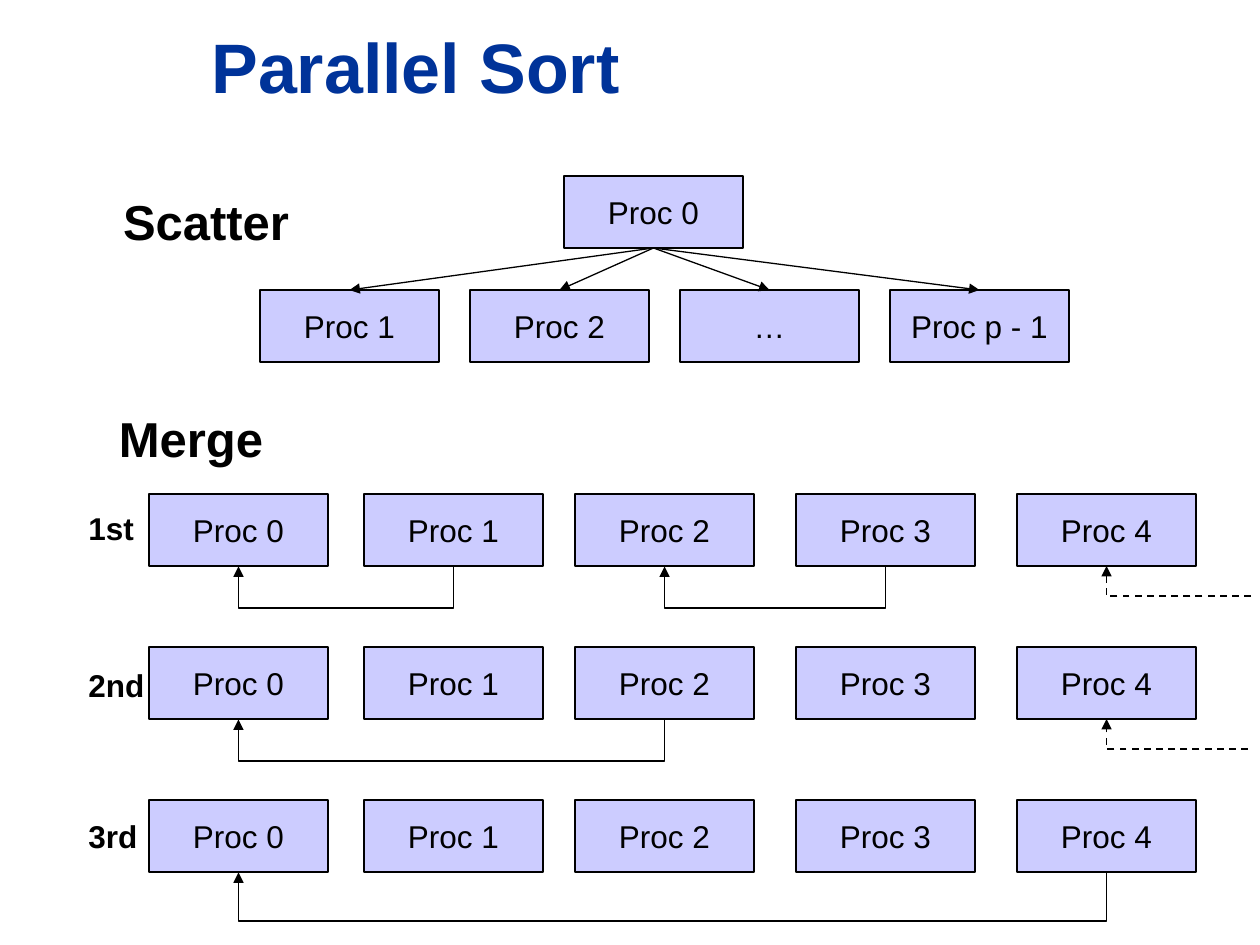
from dataclasses import dataclass

from lxml.etree import SubElement
from pptx import Presentation
from pptx.dml.color import RGBColor
from pptx.enum.dml import MSO_LINE
from pptx.enum.shapes import MSO_CONNECTOR, MSO_SHAPE
from pptx.enum.text import MSO_ANCHOR, PP_ALIGN
from pptx.oxml.ns import qn
from pptx.util import Pt

EMU_PER_PIXEL = 914400 / 126
BLACK, LAVENDER, NAVY = "000000", "CCCCFF", "003399"
BOX_WIDTH, BOX_HEIGHT = 179, 72
COLUMNS = (149, 364, 575, 796, 1017)
FIRST_ROW_TOP, ROW_STEP = 494, 153
DASHED_DROP = 30


@dataclass
class Label:
    text: str
    left: int
    top: int
    width: int
    height: int
    size: int
    color: str = BLACK
    align: PP_ALIGN = PP_ALIGN.LEFT
    anchor: MSO_ANCHOR = MSO_ANCHOR.TOP
    wrap: bool = True


@dataclass
class MergeStep:
    label: Label
    merges: tuple
    drop: int
    dashed_start: int = 0


LABELS = (
    Label("Parallel Sort", 199, 9, 1041, 113, 40, NAVY, anchor=MSO_ANCHOR.MIDDLE),
    Label("Scatter", 101, 185, 210, 72, 28, align=PP_ALIGN.CENTER),
    Label("Merge", 86, 402, 210, 72, 28, align=PP_ALIGN.CENTER),
)
MERGE_STEPS = (
    MergeStep(Label("1st", 76, 503, 71, 50, 18, wrap=False), ((1, 0), (3, 2)), 43, 1251),
    MergeStep(Label("2nd", 76, 660, 81, 50, 18, wrap=False), ((2, 0),), 43, 1248),
    MergeStep(Label("3rd", 76, 811, 74, 50, 18, wrap=False), ((4, 0),), 50),
)


def px(pixels: float) -> int:
    return round(pixels * EMU_PER_PIXEL)


def rgb(color: str) -> RGBColor:
    return RGBColor.from_string(color)


def write_text(shape, text: str, size: int, color: str, bold: bool, align) -> None:
    paragraph = shape.text_frame.paragraphs[0]
    paragraph.text = text
    paragraph.alignment = align
    font = paragraph.runs[0].font
    font.name, font.size, font.bold = "Arial", Pt(size), bold
    font.color.rgb = rgb(color)


def add_label(slide, label: Label) -> None:
    shape = slide.shapes.add_textbox(
        px(label.left), px(label.top), px(label.width), px(label.height)
    )
    shape.text_frame.word_wrap = label.wrap
    shape.text_frame.vertical_anchor = label.anchor
    write_text(shape, label.text, label.size, label.color, True, label.align)


def add_process(slide, text: str, left: int, top: int):
    shape = slide.shapes.add_shape(
        MSO_SHAPE.RECTANGLE, px(left), px(top), px(BOX_WIDTH), px(BOX_HEIGHT)
    )
    shape.shadow.inherit = False
    shape.fill.solid()
    shape.fill.fore_color.rgb = rgb(LAVENDER)
    shape.line.color.rgb = rgb(BLACK)
    shape.line.width = Pt(0.75)
    shape.text_frame.word_wrap = False
    shape.text_frame.vertical_anchor = MSO_ANCHOR.MIDDLE
    write_text(shape, text, 18, BLACK, False, PP_ALIGN.CENTER)
    return shape


def add_arrow(slide, kind, width: float = 0.75):
    connector = slide.shapes.add_connector(kind, 0, 0, 0, 0)
    connector.line.color.rgb = rgb(BLACK)
    connector.line.width = Pt(width)
    SubElement(connector.line._get_or_add_ln(), qn("a:tailEnd"), type="triangle")
    SubElement(connector._element.spPr, qn("a:effectLst"))
    return connector


def place_bent(connector, left: int, top: int, width: int, height: int, degrees: int) -> None:
    connector.left, connector.top = left, top
    connector.width, connector.height = width, height
    transform = connector._element.spPr.find(qn("a:xfrm"))
    for flip in ("flipH", "flipV"):
        transform.attrib.pop(flip, None)
    transform.set("rot", str(degrees * 60000))


def add_merge_arrow(slide, source, target, drop: int) -> None:
    connector = add_arrow(slide, MSO_CONNECTOR.ELBOW)
    connector.begin_connect(source, 2)
    connector.end_connect(target, 2)
    thickness, span = px(1), source.left - target.left
    middle = (source.left + target.left + source.width) // 2
    bottom = source.top + source.height
    place_bent(connector, middle - thickness // 2, bottom - span // 2, thickness, span, 90)
    adjustments = connector._element.spPr.find(qn("a:prstGeom")).get_or_add_avLst()
    SubElement(adjustments, qn("a:gd"), name="adj1", fmla=f"val {drop * 100000}")


def add_dashed_arrow(slide, start: int, target) -> None:
    connector = add_arrow(slide, MSO_CONNECTOR.ELBOW, 1)
    connector.line.dash_style = MSO_LINE.DASH
    connector.end_connect(target, 2)
    center = target.left + target.width // 2
    bottom = target.top + target.height
    place_bent(connector, center, bottom, px(start) - center, px(DASHED_DROP), 180)
    connector._element.spPr.find(qn("a:prstGeom")).set("prst", "bentConnector2")


def draw_scatter(slide) -> None:
    root = add_process(slide, "Proc 0", 564, 176)
    for index, text in enumerate(("Proc 1", "Proc 2", "…", "Proc p - 1")):
        process = add_process(slide, text, 260 + 210 * index, 290)
        connector = add_arrow(slide, MSO_CONNECTOR.STRAIGHT)
        connector.begin_connect(root, 2)
        connector.end_connect(process, 0)


def draw_merge_step(slide, step: MergeStep, top: int) -> None:
    processes = [
        add_process(slide, f"Proc {index}", left, top) for index, left in enumerate(COLUMNS)
    ]
    for source, target in step.merges:
        add_merge_arrow(slide, processes[source], processes[target], step.drop)
    if step.dashed_start:
        add_dashed_arrow(slide, step.dashed_start, processes[-1])
    add_label(slide, step.label)


def main() -> None:
    presentation = Presentation()
    presentation.slide_width, presentation.slide_height = px(1260), px(945)
    slide = presentation.slides.add_slide(presentation.slide_layouts[6])
    for label in LABELS:
        add_label(slide, label)
    draw_scatter(slide)
    for index, step in enumerate(MERGE_STEPS):
        draw_merge_step(slide, step, FIRST_ROW_TOP + ROW_STEP * index)
    presentation.save("out.pptx")


if __name__ == "__main__":
    main()
